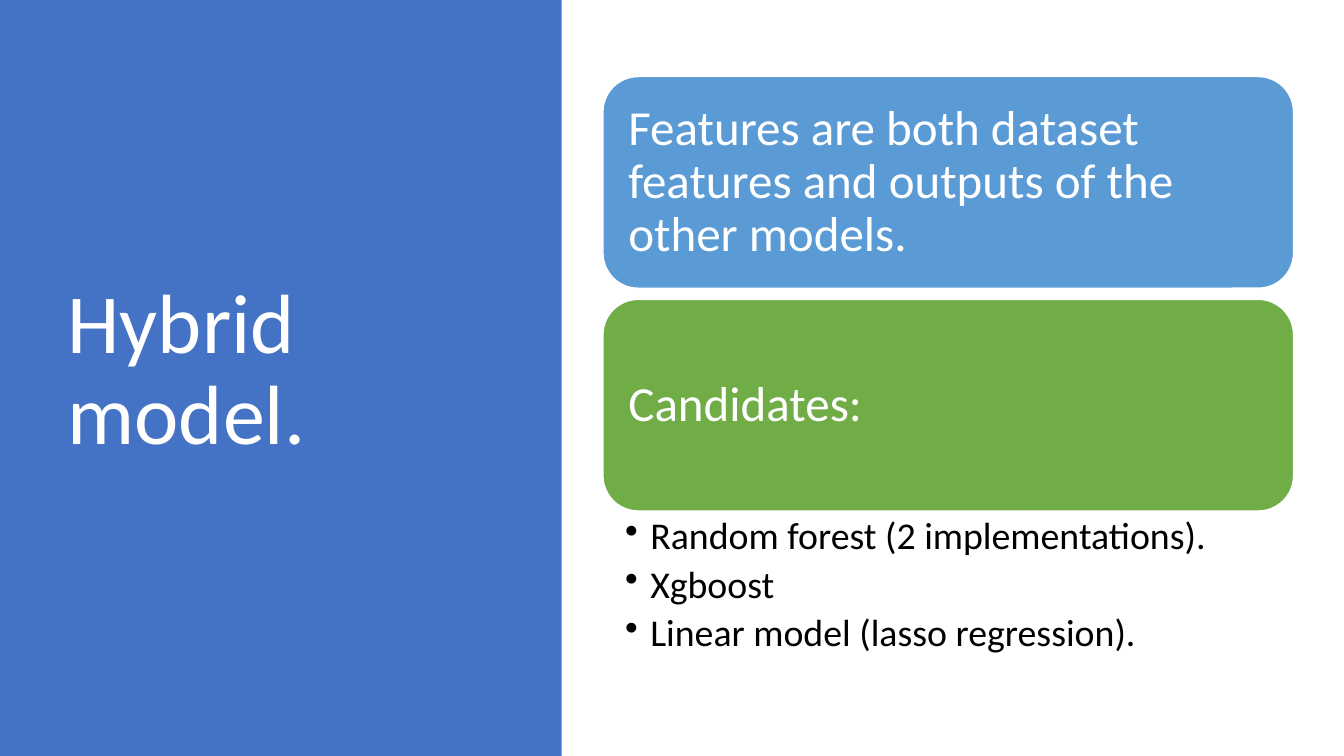
from lxml import etree
from pptx import Presentation
from pptx.dml.color import RGBColor
from pptx.enum.shapes import MSO_SHAPE
from pptx.enum.text import MSO_ANCHOR, PP_ALIGN
from pptx.oxml.ns import qn
from pptx.util import Inches, Pt

RECTANGLE = MSO_SHAPE.RECTANGLE
ROUNDED = MSO_SHAPE.ROUNDED_RECTANGLE
MIDDLE = MSO_ANCHOR.MIDDLE
TOP = MSO_ANCHOR.TOP
LEFT = PP_ALIGN.LEFT

WHITE = RGBColor(0xFF, 0xFF, 0xFF)
BLACK = RGBColor(0x00, 0x00, 0x00)
PANEL_BLUE = RGBColor(0x44, 0x72, 0xC4)
CARD_BLUE = RGBColor(0x5B, 0x9B, 0xD5)
CARD_GREEN = RGBColor(0x70, 0xAD, 0x47)

CARD_LEFT, CARD_TOP = 5.98, 0.76
CARD_WIDTH, CARD_HEIGHT = 6.85, 2.1
CARD_PITCH = 2.21


def style_paragraph(paragraph, size, color):
    paragraph.alignment = LEFT
    paragraph.line_spacing = 0.9
    paragraph.font.name = "Calibri"
    paragraph.font.size = Pt(size)
    paragraph.font.color.rgb = color


def set_frame(frame, anchor, left, top, right, bottom):
    """Wrap the text and set its anchor and its margins in inches."""
    frame.word_wrap = True
    frame.vertical_anchor = anchor
    frame.margin_left, frame.margin_top = Inches(left), Inches(top)
    frame.margin_right, frame.margin_bottom = Inches(right), Inches(bottom)


prs = Presentation()
prs.slide_width, prs.slide_height = Inches(13.33), Inches(7.5)
slide = prs.slides.add_slide(prs.slide_layouts[5])

# Title on the blue side panel
title = slide.shapes.title
title.left, title.top = Inches(0.57), Inches(0.68)
title.width, title.height = Inches(4.16), Inches(6.02)
title.text_frame.text = "Hybrid model."
set_frame(title.text_frame, MIDDLE, 0.1, 0.05, 0.1, 0.05)
style_paragraph(title.text_frame.paragraphs[0], 60, WHITE)

panel = slide.shapes.add_shape(RECTANGLE, 0, 0, Inches(5.57), prs.slide_height)
panel.shadow.inherit = False
panel.fill.solid()
panel.fill.fore_color.rgb = PANEL_BLUE
panel.line.fill.background()
title.element.addprevious(panel.element)  # behind the title

# Cards
cards = [
    ("Features are both dataset features and outputs of the other models.", CARD_BLUE),
    ("Candidates:", CARD_GREEN),
]
for row, (statement, color) in enumerate(cards):
    card = slide.shapes.add_shape(
        ROUNDED, Inches(CARD_LEFT), Inches(CARD_TOP + row * CARD_PITCH),
        Inches(CARD_WIDTH), Inches(CARD_HEIGHT))
    card.shadow.inherit = False
    card.fill.solid()
    card.fill.fore_color.rgb = color
    card.line.color.rgb = WHITE
    card.line.width = Pt(1)
    card.text_frame.text = statement
    set_frame(card.text_frame, MIDDLE, 0.15, 0.15, 0.15, 0.15)
    style_paragraph(card.text_frame.paragraphs[0], 35, WHITE)

# Candidate models
candidates = ["Random forest (2 implementations).", "Xgboost", "Linear model (lasso regression)."]
candidate_list = slide.shapes.add_textbox(
    Inches(CARD_LEFT), Inches(5.08), Inches(CARD_WIDTH), Inches(1.55))
frame = candidate_list.text_frame
set_frame(frame, TOP, 0.22, 0.05, 0.27, 0.05)
frame.text = "\n".join(candidates)
for paragraph in frame.paragraphs:
    properties = paragraph._p.get_or_add_pPr()
    properties.set("marL", str(Inches(0.25)))
    properties.set("indent", str(Inches(-0.25)))
    etree.SubElement(properties, qn("a:buChar")).set("char", "•")
    paragraph.level = 1
    paragraph.space_after = Pt(5.4)
    style_paragraph(paragraph, 27, BLACK)

prs.save("out.pptx")
